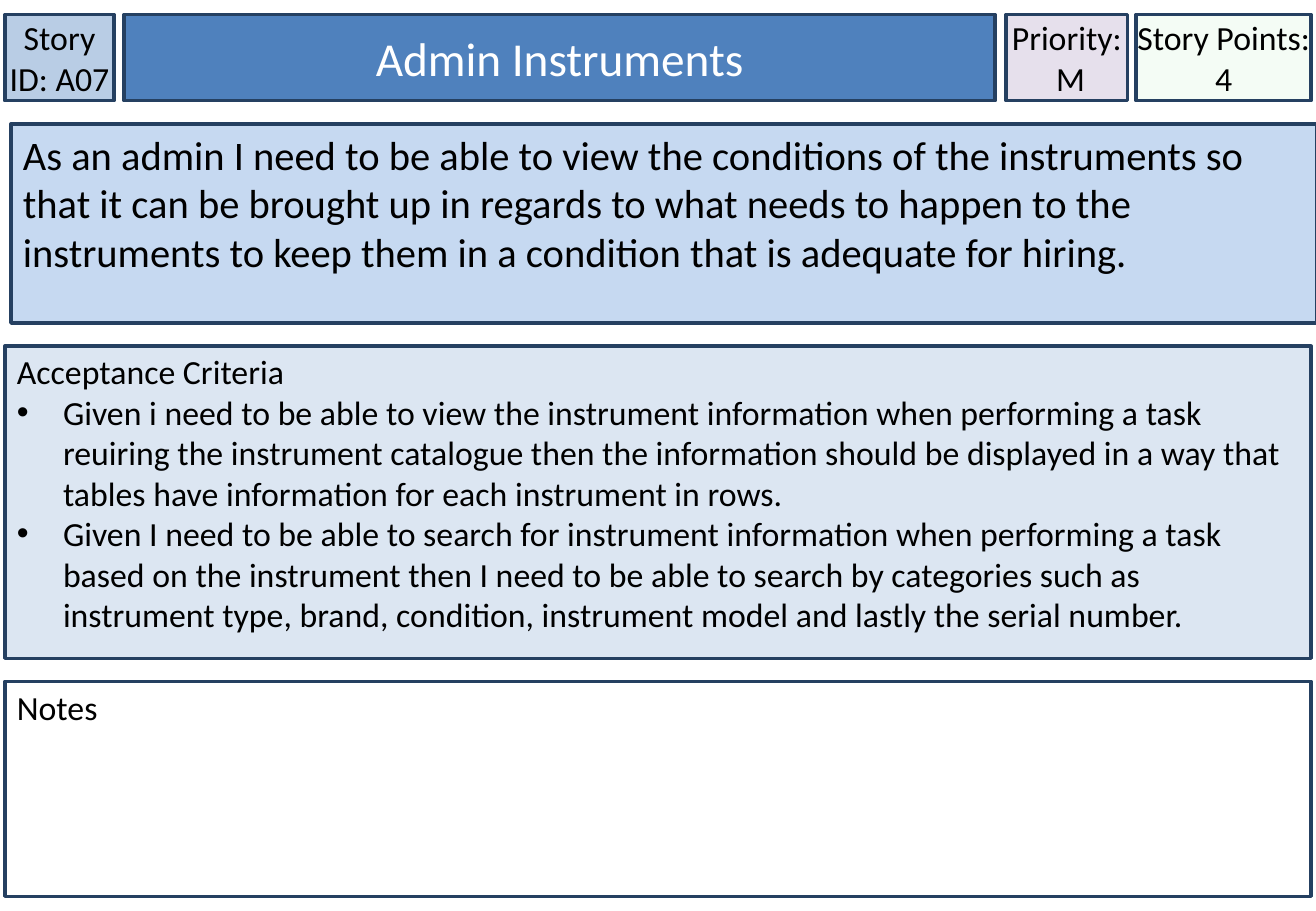
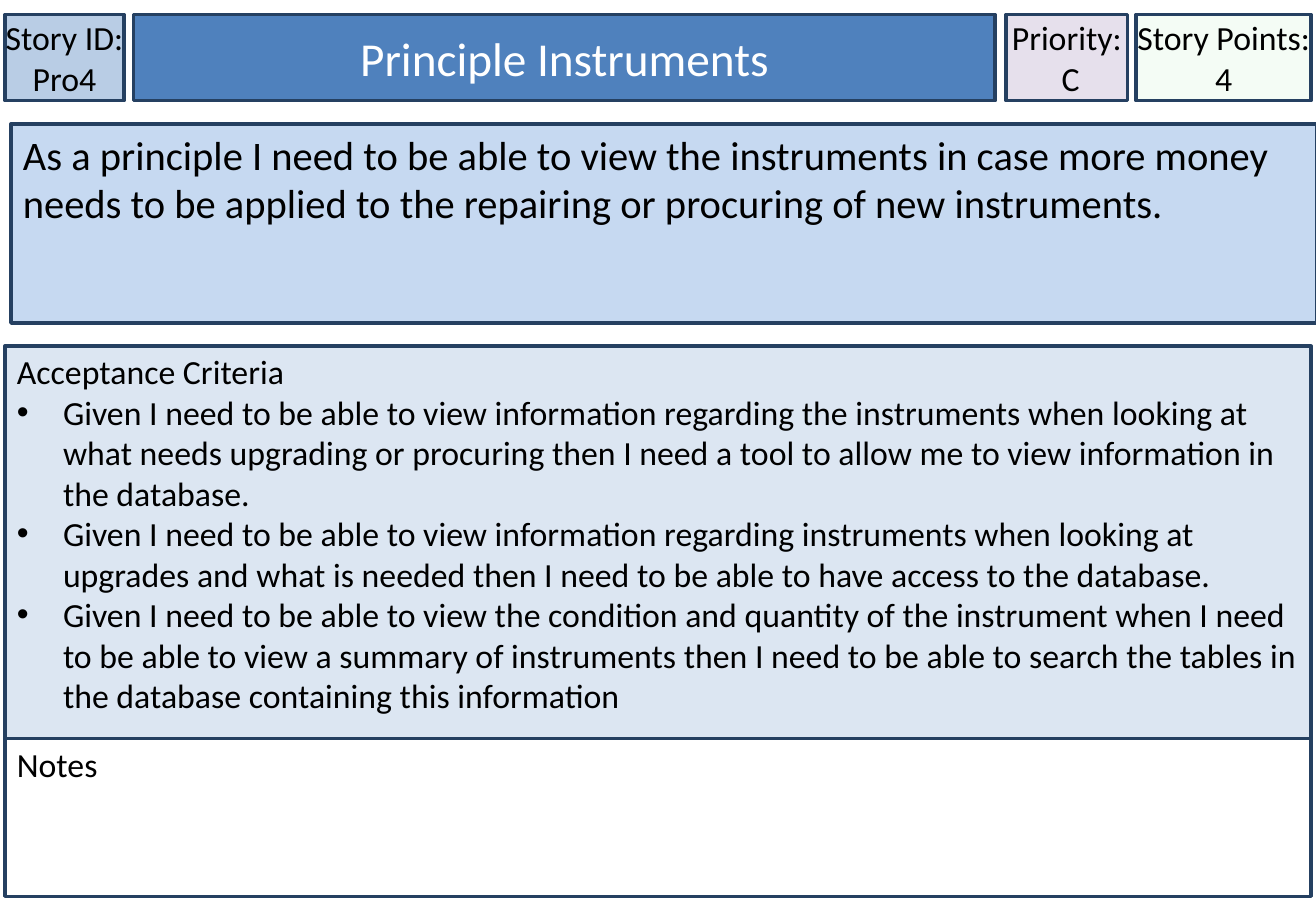
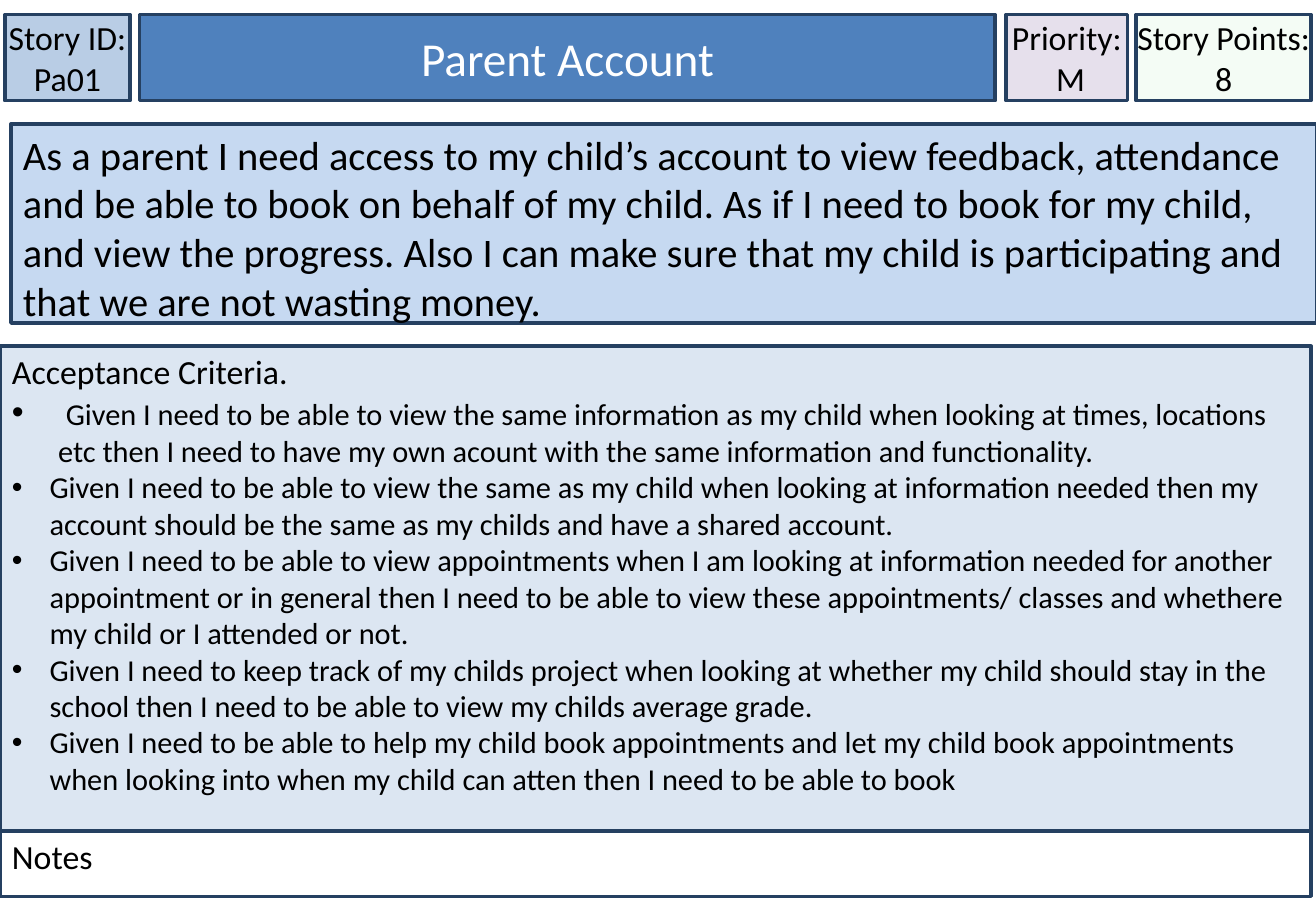
from lxml.etree import SubElement
from pptx import Presentation
from pptx.dml.color import RGBColor
from pptx.enum.shapes import MSO_SHAPE
from pptx.enum.text import MSO_ANCHOR, MSO_AUTO_SIZE, PP_ALIGN
from pptx.oxml.ns import qn
from pptx.util import Inches, Pt

# Content: one story card per slide; a bullet is (indent, [(text, size), ...])
CARDS = [
    {
        "id": "Story ID: A07", "width": 0.9, "title": "Admin Instruments",
        "rank": "M", "points": 4, "left": 0.04, "end": 5.42, "notes": 5.61,
        "story": "As an admin I need to be able to view the conditions of the instruments so that it can be brought up in regards to what needs to happen to the instruments to keep them in a condition that is adequate for hiring.",
        "head": "Acceptance Criteria",
        "tests": [
            (0.38, [("Given i need to be able to view the instrument information when performing a task reuiring the instrument catalogue then the information should be displayed in a way that tables have information for each instrument in rows.", 20)]),
            (0.38, [("Given I need to be able to search for instrument information when performing a task based on the instrument then I need to be able to search by categories such as instrument type, brand, condition, instrument model and lastly the serial number.", 20)]),
        ],
    },
    {
        "id": "Story ID: Pro4", "width": 0.98, "title": "Principle Instruments",
        "rank": "C", "points": 4, "left": 0.04, "end": 6.08, "notes": 6.08,
        "story": "As a principle I need to be able to view the instruments in case more money needs to be applied to the repairing or procuring of new instruments.",
        "head": "Acceptance Criteria",
        "tests": [
            (0.38, [("Given I need to be able to view information regarding the instruments when looking at what needs upgrading or procuring then I need a tool to allow me to view information in the database.", 20)]),
            (0.38, [("Given I need to be able to view information regarding instruments when looking at upgrades and what is needed then I need to be able to have access to the database.", 20)]),
            (0.38, [("Given I need to be able to view the condition and quantity of the instrument when I need to be able to view a summary of instruments then I need to be able to search the tables in the database containing this information", 20)]),
        ],
    },
    {
        "id": "Story ID: Pa01", "width": 1.03, "title": "Parent Account",
        "rank": "M", "points": 8, "left": 0, "end": 6.84, "notes": 6.84,
        "story": "As a parent I need access to my child’s account to view feedback, attendance and be able to book on behalf of my child. As if I need to book for my child, and view the progress. Also I can make sure that my child is participating and that we are not wasting money.",
        "head": "Acceptance Criteria.",
        "tests": [
            (0.38, [(" ", 20), ("Given I need to be able to view the same information as my child when looking at times, locations etc then I need to have my own acount with the same information and functionality.", 18)]),
            (0.31, [("Given I need to be able to view the same as my child when looking at information needed then my account should be the same as my childs and have a shared account.", 18)]),
            (0.31, [("Given I need to be able to view appointments when I am looking at information needed for another appointment or in general then I need to be able to view these appointments/ classes and whethere my child or I attended or not.", 18)]),
            (0.31, [("Given I need to keep track of my childs project when looking at whether my child should stay in the school then I need to be able to view my childs average grade.", 18)]),
            (0.31, [("Given I need to be able to help my child book appointments and let my child book appointments when looking into when my child can atten then I need to be able to book", 18)]),
        ],
    },
]

# Shared style
COLORS = {
    "line": "254061", "ink": "000000", "light": "FFFFFF",
    "id": "B9CDE5", "title": "4F81BD", "story": "C6D9F1", "tests": "DCE6F2",
    "points": "CCF0CD", "rank": "E6E0EC", "notes": "FFFFFF",
}
FONT = "Calibri"
TOP, HIGH, GAP = 0.12, 0.71, 0.08      # header row
EDGE, RIGHT, FOOT = 0.04, 10.79, 7.38  # card bounds
BAND = 8.19                            # right end of the title band
BODY = 2.85                            # top of the criteria
PADS = {
    "tag": (0, 0.05, 0, 0.05),
    "band": (0.1, 0.05, 0.1, 0.05),
    "panel": (0.1, 0.04, 0.1, 0.05),
}


def color(name):
    return RGBColor.from_string(COLORS[name])


def assign(item, values):
    for key, value in values.items():
        setattr(item, key, value)


def dress(box, place, fill, pad, anchor=MSO_ANCHOR.TOP, wrap=True):
    """Place a box and give it the card look."""
    assign(box, dict(zip(("left", "top", "width", "height"), map(Inches, place))))
    box.fill.solid()
    box.fill.fore_color.rgb = color(fill)
    box.line.color.rgb = color("line")
    box.line.width = Pt(2)
    sides = ("margin_left", "margin_top", "margin_right", "margin_bottom")
    assign(box.text_frame, {
        **dict(zip(sides, map(Inches, PADS[pad]))),
        "auto_size": MSO_AUTO_SIZE.NONE,
        "word_wrap": wrap,
        "vertical_anchor": anchor,
    })


def write(box, lines, align=PP_ALIGN.LEFT, ink="ink"):
    """Fill a box with (indent, runs) lines; an indent brings a bullet."""
    frame = box.text_frame
    for at, (indent, runs) in enumerate(lines):
        para = frame.add_paragraph() if at else frame.paragraphs[0]
        para.alignment = align
        if indent:
            props = para._p.get_or_add_pPr()
            props.set("marL", str(Inches(indent)))
            props.set("indent", str(-Inches(indent)))
            SubElement(props, qn("a:buFont"), typeface="Arial")
            SubElement(props, qn("a:buChar"), char="•")
        for text, size in runs:
            run = para.add_run()
            run.text = text
            assign(run.font, {"name": FONT, "size": Pt(size)})
            run.font.color.rgb = color(ink)


def add_box(slide, place, fill, pad, lines, align=PP_ALIGN.LEFT, **look):
    box = slide.shapes.add_shape(MSO_SHAPE.RECTANGLE, *map(Inches, place))
    box.shadow.inherit = False
    dress(box, place, fill, pad, **look)
    write(box, lines, align)
    return box


def plain(*texts, size=20):
    return [(0, [(text, size)]) for text in texts]


def build(deck, card):
    slide = deck.slides.add_slide(deck.slide_layouts[5])

    # Title band
    start = EDGE + card["width"] + GAP
    title = slide.shapes.title
    dress(title, (start, TOP, BAND - start, HIGH), "title", "band", MSO_ANCHOR.MIDDLE)
    write(title, plain(card["title"], size=28), PP_ALIGN.CENTER, "light")

    # Header tags
    tags = [
        ("id", EDGE, card["width"], [card["id"]], True),
        ("rank", 8.28, 1, ["Priority:", f" {card['rank']}"], False),
        ("points", 9.35, 1.44, [f"Story Points: {card['points']}"], True),
    ]
    for name, left, width, texts, wrap in tags:
        tag = add_box(slide, (left, TOP, width, HIGH), name, "tag", plain(*texts),
                      PP_ALIGN.CENTER, anchor=MSO_ANCHOR.MIDDLE, wrap=wrap)
        if name == "points":
            tint = tag._element.spPr.find(qn("a:solidFill"))[0]
            SubElement(tint, qn("a:alpha"), val="20000")

    # Story, criteria and notes
    left, wide = card["left"], RIGHT - card["left"]
    tests = plain(card["head"]) + card["tests"]
    add_box(slide, (0.09, 1.02, 10.75, 1.64), "story", "band", plain(card["story"], size=24))
    add_box(slide, (left, BODY, wide, card["end"] - BODY), "tests", "panel", tests)
    add_box(slide, (left, card["notes"], wide, FOOT - card["notes"]), "notes", "panel",
            plain("Notes"))


def main():
    deck = Presentation()
    assign(deck, {"slide_width": Inches(10.83), "slide_height": Inches(7.5)})
    for card in CARDS:
        build(deck, card)
    deck.save("out.pptx")


if __name__ == "__main__":
    main()
